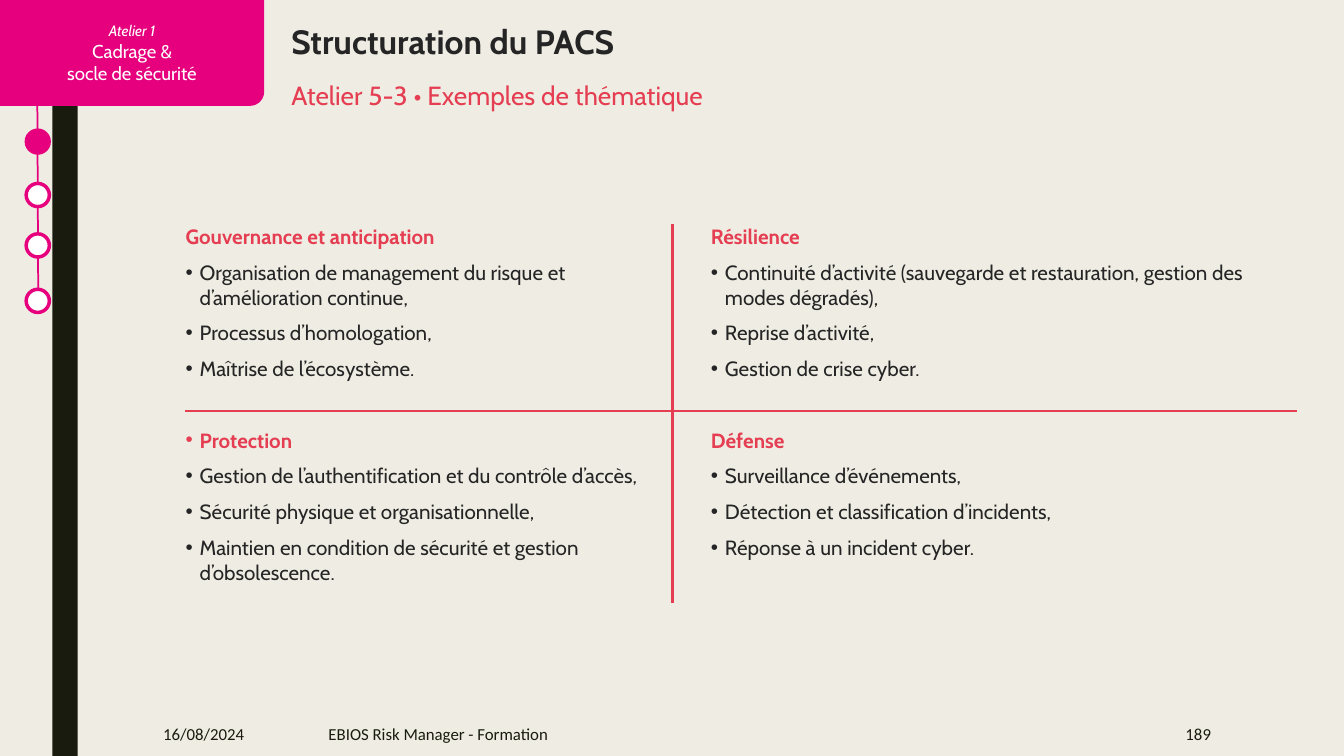
import math

import pptx
import pptx.dml.color
import pptx.enum.shapes
import pptx.enum.text
import pptx.oxml.ns
import pptx.util
from lxml import etree

Inches = pptx.util.Inches
Pt = pptx.util.Pt
RGB = pptx.dml.color.RGBColor.from_string
SHAPES = pptx.enum.shapes.MSO_SHAPE
ALIGN = pptx.enum.text.PP_ALIGN
ANCHOR = pptx.enum.text.MSO_ANCHOR

COLORS = {
    "background": "EFEDE3",
    "dark": "191B0E",
    "magenta": "E6007E",
    "red": "E53D51",
    "text": "252525",
    "white": "FFFFFF",
}


def write(shape, text, size, color, font="Cabin", align=ALIGN.LEFT, anchor=ANCHOR.TOP, inset=0.0):
    """Fill a shape with text, one paragraph per line, in one uniform style."""
    frame = shape.text_frame
    frame.text = text
    frame.word_wrap = True
    frame.auto_size = pptx.enum.text.MSO_AUTO_SIZE.NONE
    frame.vertical_anchor = anchor
    frame.margin_left = frame.margin_right = Inches(inset)
    frame.margin_top = frame.margin_bottom = Inches(inset / 2)
    for paragraph in frame.paragraphs:
        paragraph.alignment = align
        paragraph.space_before = Pt(0)
        for run in paragraph.runs:
            run.font.size = Pt(size)
            run.font.name = font
            run.font.bold = False
            run.font.color.rgb = RGB(COLORS[color])
    return frame


def add_line(x1, y1, x2, y2, color, width):
    line = slide.shapes.add_connector(
        pptx.enum.shapes.MSO_CONNECTOR.STRAIGHT, Inches(x1), Inches(y1), Inches(x2), Inches(y2))
    line.line.color.rgb = RGB(COLORS[color])
    line.line.width = Pt(width)
    etree.SubElement(line._element.spPr, pptx.oxml.ns.qn("a:effectLst"))


deck = pptx.Presentation()
deck.slide_width = Inches(13.33)
deck.slide_height = Inches(7.5)
slide = deck.slides.add_slide(deck.slide_layouts.get_by_name("Comparison"))
slide.background.fill.solid()
slide.background.fill.fore_color.rgb = RGB(COLORS["background"])

# Side band and progress markers
band = slide.shapes.add_shape(SHAPES.RECTANGLE, Inches(0.52), 0, Inches(0.25), Inches(7.5))
band.shadow.inherit = False
band.fill.solid()
band.fill.fore_color.rgb = RGB(COLORS["dark"])
band.line.fill.background()

add_line(0.37, 0.89, 0.38, 3.1, "magenta", 1.25)
for step, top in enumerate((1.29, 1.82, 2.32, 2.87)):
    marker = slide.shapes.add_shape(
        SHAPES.OVAL, Inches(0.26), Inches(top), Inches(0.23), Inches(0.23))
    marker.shadow.inherit = False
    marker.fill.solid()
    marker.fill.fore_color.rgb = RGB(COLORS["white" if step else "magenta"])
    marker.line.color.rgb = RGB(COLORS["magenta"])
    marker.line.width = Pt(2.5 if step else 2.25)

# Workshop tag, rounded at its lower right corner
tag_width, tag_height, radius = 2.62, 1.05, 0.14
corner = []
for degrees in range(0, 91, 10):
    angle = math.radians(degrees)
    corner.append((Inches(tag_width - radius + radius * math.cos(angle)),
                   Inches(tag_height - radius + radius * math.sin(angle))))
outline = slide.shapes.build_freeform(0, 0)
outline.add_line_segments([(Inches(tag_width), 0), *corner, (0, Inches(tag_height))], close=True)
tag = outline.convert_to_shape()
tag.shadow.inherit = False
tag.fill.solid()
tag.fill.fore_color.rgb = RGB(COLORS["magenta"])
tag.line.fill.background()
tag_frame = write(tag, "Atelier 1\nCadrage &\nsocle de sécurité", 13.3, "white",
                  align=ALIGN.CENTER, anchor=ANCHOR.MIDDLE, inset=0.1)
workshop = tag_frame.paragraphs[0].runs[0].font
workshop.size = Pt(10.7)
workshop.italic = True

# Title and subtitle
title = slide.shapes.title
title.left, title.top, title.width, title.height = map(Inches, (2.89, 0.21, 9.97, 0.4))
title_frame = write(title, "Structuration du PACS", 24, "text")
title_frame.paragraphs[0].runs[0].font.bold = True
subtitle = slide.shapes.add_textbox(Inches(2.89), Inches(0.79), Inches(9.39), Inches(0.31))
write(subtitle, "Atelier 5-3 • Exemples de thématique", 18.7, "red")

# Four themes: placeholder index, left, top, width, heading bullet, lines
upper, lower = 2.22, 4.24
themes = [
    (1, 1.84, upper, 4.83, False, [
        "Gouvernance et anticipation",
        "Organisation de management du risque et d’amélioration continue,",
        "Processus d’homologation,",
        "Maîtrise de l’écosystème."]),
    (2, 1.84, lower, 4.83, True, [
        "Protection",
        "Gestion de l’authentification et du contrôle d’accès,",
        "Sécurité physique et organisationnelle,",
        "Maintien en condition de sécurité et gestion d’obsolescence."]),
    (3, 7.05, upper, 5.81, False, [
        "Résilience",
        "Continuité d’activité (sauvegarde et restauration, gestion des modes dégradés),",
        "Reprise d’activité,",
        "Gestion de crise cyber."]),
    (4, 7.05, lower, 5.81, False, [
        "Défense",
        "Surveillance d’événements,",
        "Détection et classification d’incidents,",
        "Réponse à un incident cyber."]),
]
for index, left, top, width, heading_bullet, lines in themes:
    theme = slide.placeholders[index]
    theme.left, theme.top, theme.width, theme.height = map(Inches, (left, top, width, 1.7))
    theme_frame = write(theme, "\n".join(lines), 14.7, "text")
    for row, paragraph in enumerate(theme_frame.paragraphs):
        paragraph.space_after = Pt(8)
        properties = paragraph._p.get_or_add_pPr()
        bulleted = row > 0 or heading_bullet
        indent = Inches(0.14) if bulleted else 0
        properties.set("marL", str(indent))
        properties.set("indent", str(-indent))
        if bulleted:
            font = etree.SubElement(properties, pptx.oxml.ns.qn("a:buFont"))
            font.set("typeface", "Arial")
            bullet = etree.SubElement(properties, pptx.oxml.ns.qn("a:buChar"))
            bullet.set("char", "•")
        else:
            etree.SubElement(properties, pptx.oxml.ns.qn("a:buNone"))
    heading = theme_frame.paragraphs[0].runs[0].font
    heading.bold = True
    heading.color.rgb = RGB(COLORS["red"])

add_line(6.67, 2.22, 6.67, 5.98, "red", 1.5)
add_line(1.84, 4.08, 12.86, 4.08, "red", 1.5)

# Footer
for text, left, width, align in (
        ("16/08/2024", 1.52, 1.32, ALIGN.LEFT),
        ("EBIOS Risk Manager - Formation", 3.16, 6.87, ALIGN.LEFT),
        ("189", 10.36, 1.75, ALIGN.RIGHT)):
    footer = slide.shapes.add_textbox(Inches(left), Inches(7.06), Inches(width), Inches(0.44))
    write(footer, text, 12, "dark", "Calibri", align, ANCHOR.MIDDLE, 0.1)

deck.save("out.pptx")
